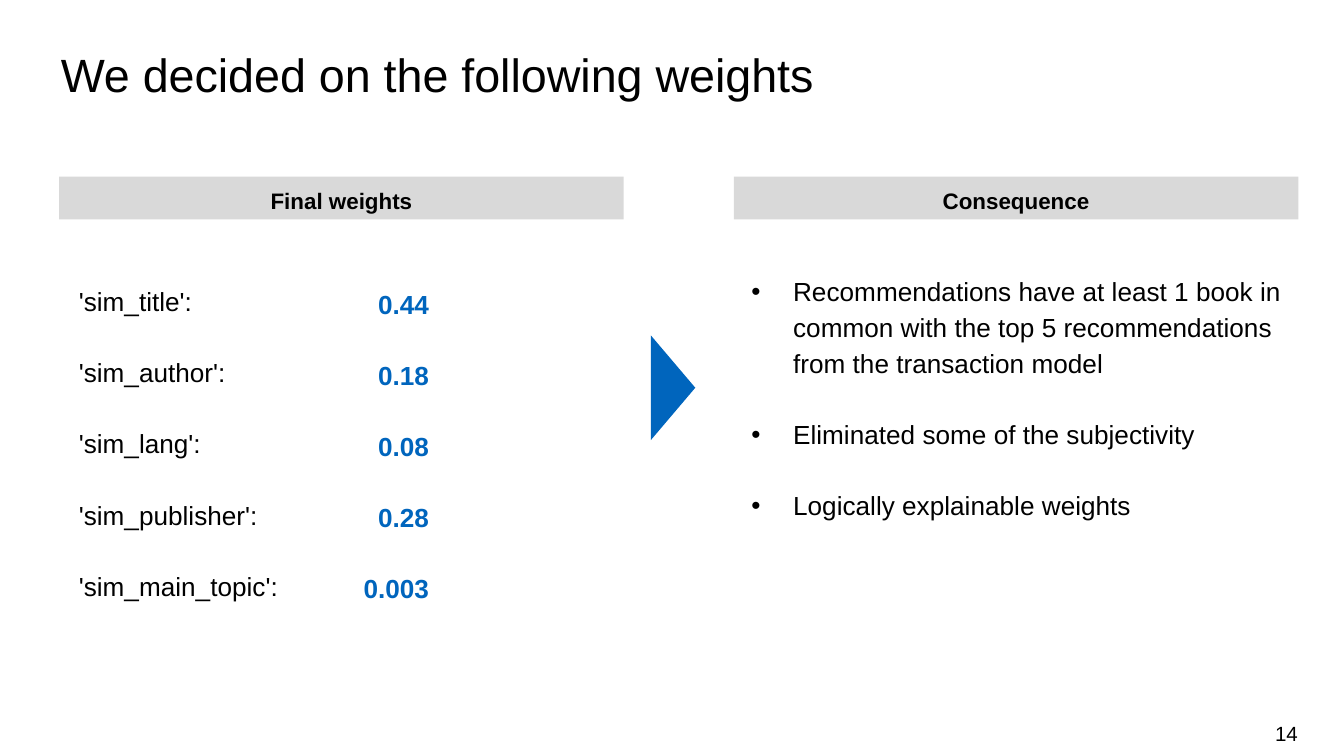
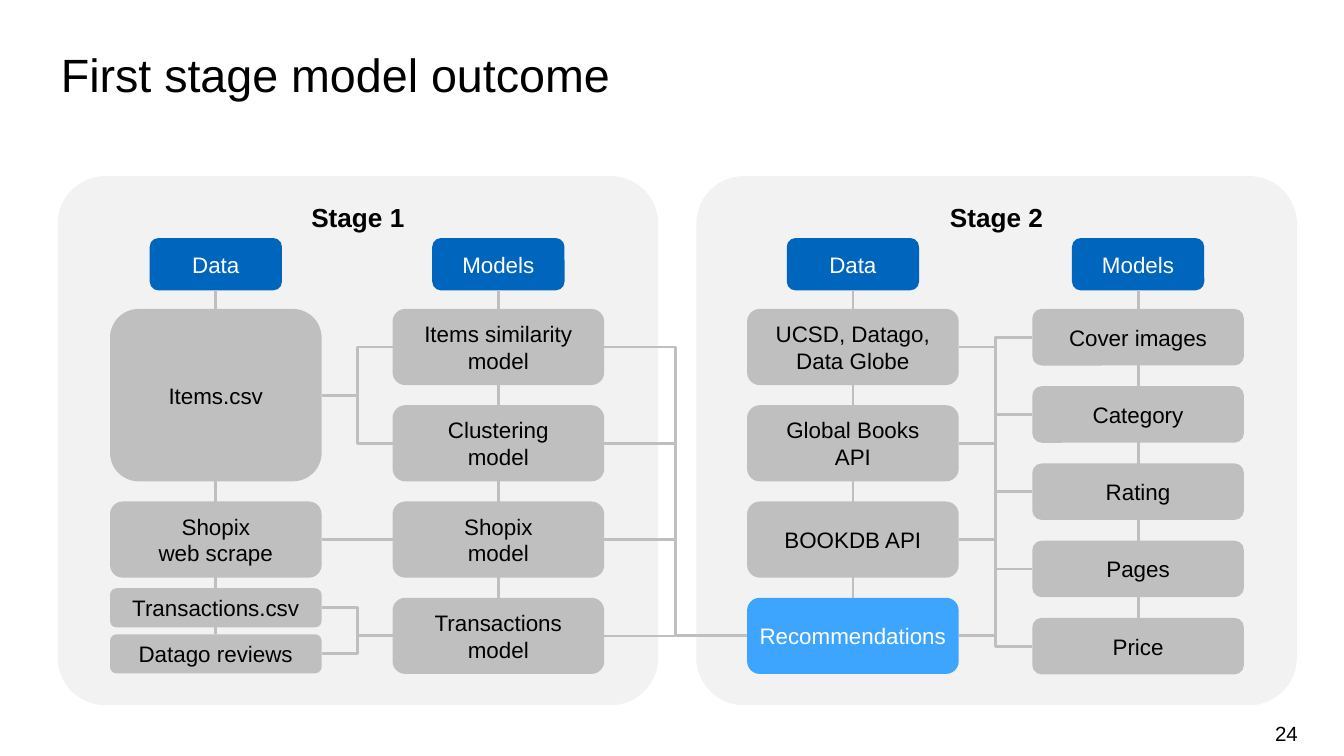
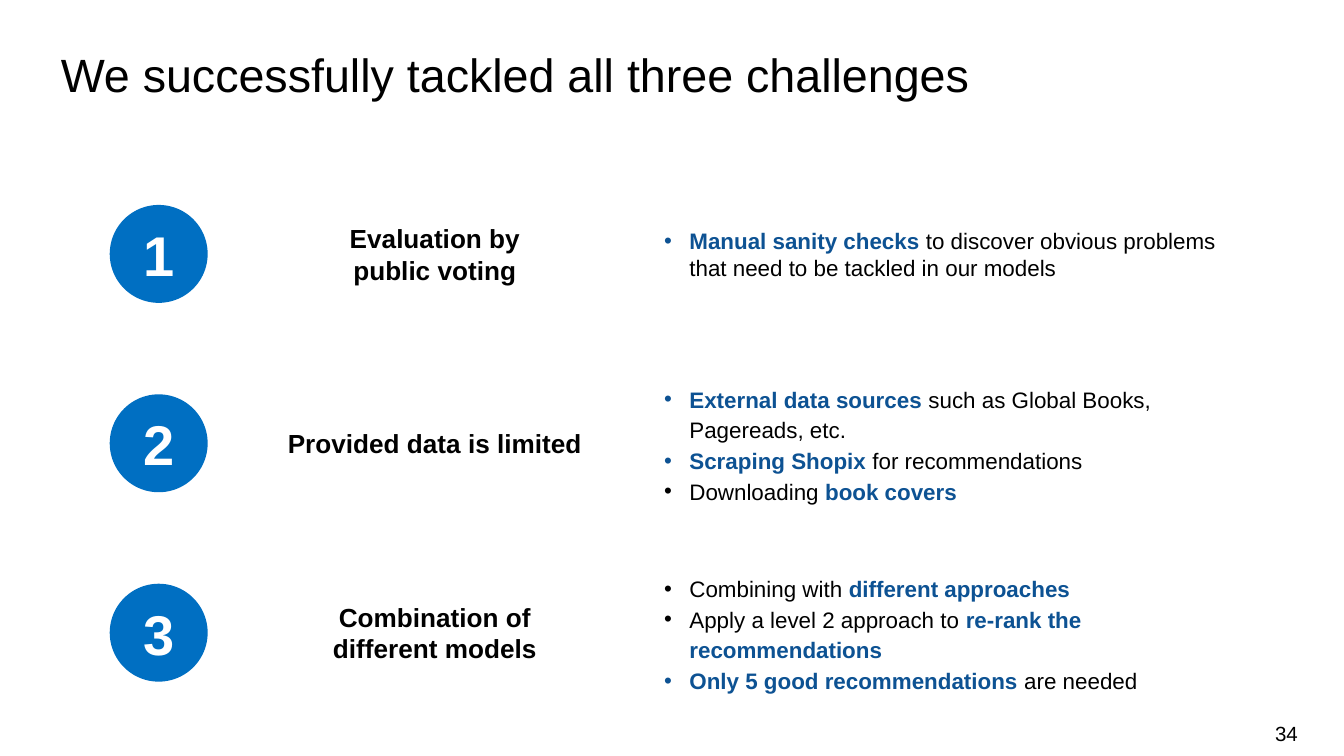
from dataclasses import dataclass
from typing import NamedTuple, Optional, Sequence

from lxml.etree import SubElement
from pptx import Presentation
from pptx.dml.color import RGBColor
from pptx.enum.shapes import MSO_CONNECTOR as Link, MSO_SHAPE as Preset
from pptx.enum.text import MSO_ANCHOR as Anchor, MSO_AUTO_SIZE as AutoSize, PP_ALIGN as Align
from pptx.oxml.ns import qn
from pptx.shapes.autoshape import Shape
from pptx.shapes.connector import Connector
from pptx.slide import Slide
from pptx.text.text import TextFrame
from pptx.util import Cm, Pt


@dataclass(frozen=True)
class Theme:
    font: str = "Arial"
    text: str = "000000"
    white: str = "FFFFFF"
    blue: str = "0065BD"
    light_blue: str = "3EA5FF"
    circle_blue: str = "006FC2"
    key_blue: str = "0D5293"
    band: str = "D9D9D9"
    panel: str = "F2F2F2"
    node: str = "BFBFBF"
    title_size: float = 25
    number_size: float = 30
    body_size: float = 14
    small_size: float = 12
    page_size: float = 11
    loose: float = 1.14


THEME = Theme()
TITLE_ONLY = 5
TOP, LEFT, BOTTOM, RIGHT = range(4)


class Box(NamedTuple):
    """Left, top, width and height in centimetres."""
    left: float
    top: float
    width: float
    height: float

    def lengths(self) -> list[Cm]:
        return [Cm(value) for value in self]


class Insets(NamedTuple):
    left: float = 0.25
    top: float = 0.13
    right: float = 0.25
    bottom: float = 0.13


NO_INSETS = Insets(0, 0, 0, 0)


class Run(NamedTuple):
    text: str
    key: bool = False


@dataclass(frozen=True)
class TextStyle:
    size: float = THEME.body_size
    color: str = THEME.text
    bold: bool = False
    align: Align = Align.LEFT
    spacing: float = 1.0
    gap: float = 0
    bullet_indent: float = 0


Paragraphs = Sequence[Sequence[Run]]


def plain(*lines: str) -> Paragraphs:
    """One paragraph of a single run for each line."""
    return [[Run(line)] for line in lines]


def write(frame: TextFrame, paragraphs: Paragraphs, style: TextStyle) -> None:
    for index, runs in enumerate(paragraphs):
        paragraph = frame.add_paragraph() if index else frame.paragraphs[0]
        if style.bullet_indent:
            properties = paragraph._p.get_or_add_pPr()
            indent = Cm(style.bullet_indent)
            properties.set("marL", str(indent))
            properties.set("indent", str(-indent))
            SubElement(properties, qn("a:buFont")).set("typeface", THEME.font)
            SubElement(properties, qn("a:buChar")).set("char", "•")
        paragraph.alignment = style.align
        paragraph.line_spacing = style.spacing
        if index and style.gap:
            paragraph.space_before = Pt(style.gap)
        for text, key in runs:
            run = paragraph.add_run()
            run.text = text
            run.font.name = THEME.font
            run.font.size = Pt(style.size)
            run.font.bold = style.bold or key
            run.font.color.rgb = RGBColor.from_string(THEME.key_blue if key else style.color)


def prepare_frame(frame: TextFrame, insets: Insets, anchor: Anchor, wrap: bool = True) -> None:
    frame.auto_size = AutoSize.NONE
    frame.word_wrap = wrap
    frame.vertical_anchor = anchor
    frame.margin_left, frame.margin_top, frame.margin_right, frame.margin_bottom = map(Cm, insets)


def add_text(slide: Slide, box: Box, paragraphs: Paragraphs, style: TextStyle,
             insets: Insets = Insets(), anchor: Anchor = Anchor.TOP) -> None:
    frame = slide.shapes.add_textbox(*box.lengths()).text_frame
    prepare_frame(frame, insets, anchor)
    write(frame, paragraphs, style)


def add_filled(slide: Slide, preset: Preset, box: Box, fill: str, paragraphs: Paragraphs = (),
               style: TextStyle = TextStyle(), insets: Insets = Insets(),
               anchor: Anchor = Anchor.TOP, wrap: bool = True) -> Shape:
    """Add a preset shape with a plain fill and no outline."""
    shape = slide.shapes.add_shape(preset, *box.lengths())
    shape.shadow.inherit = False
    shape.fill.solid()
    shape.fill.fore_color.rgb = RGBColor.from_string(fill)
    shape.line.fill.background()
    prepare_frame(shape.text_frame, insets, anchor, wrap)
    write(shape.text_frame, paragraphs, style)
    return shape


def add_titled_slide(presentation: Presentation, title: str, page: int) -> Slide:
    slide = presentation.slides.add_slide(presentation.slide_layouts[TITLE_ONLY])
    heading = slide.shapes.title
    heading.left, heading.top, heading.width, heading.height = Box(0.9, 0.86, 23.64, 1.15).lengths()
    prepare_frame(heading.text_frame, Insets(top=0), Anchor.TOP)
    write(heading.text_frame, plain(title), TextStyle(THEME.title_size))
    add_text(slide, Box(18.83, 13.48, 5.7, 0.76), plain(str(page)),
             TextStyle(THEME.page_size, align=Align.RIGHT),
             Insets(left=0, right=0), Anchor.MIDDLE)
    return slide


# Weights slide

def build_weights(presentation: Presentation) -> None:
    slide = add_titled_slide(presentation, "We decided on the following weights", 14)
    band_style = TextStyle(THEME.small_size, bold=True, align=Align.CENTER, spacing=THEME.loose)
    for left, heading in ((1.12, "Final weights"), (13.87, "Consequence")):
        add_filled(slide, Preset.RECTANGLE, Box(left, 3.34, 10.67, 0.81), THEME.band,
                   plain(heading), band_style)

    weights = {"title": "0.44", "author": "0.18", "lang": "0.08",
               "publisher": "0.28", "main_topic": "0.003"}
    one_line = 19
    add_text(slide, Box(1.24, 5.18, 4.45, 6.27), plain(*(f"'sim_{name}':" for name in weights)),
             TextStyle(spacing=THEME.loose, gap=one_line), Insets(right=0))
    add_text(slide, Box(5.41, 5.23, 2.95, 6.27), plain(*weights.values()),
             TextStyle(color=THEME.blue, bold=True, align=Align.RIGHT,
                       spacing=THEME.loose, gap=one_line))

    arrow = add_filled(slide, Preset.ISOSCELES_TRIANGLE, Box(11.73, 6.91, 1.98, 0.84), THEME.blue)
    arrow.rotation = 90
    add_text(slide, Box(14.2, 5.13, 10.34, 5),
             plain("Recommendations have at least 1 book in common with the top 5 "
                   "recommendations from the transaction model",
                   "Eliminated some of the subjectivity",
                   "Logically explainable weights"),
             TextStyle(spacing=THEME.loose, gap=one_line, bullet_indent=0.79), NO_INSETS)


# Stages slide

NODE_WIDTH = 4.0
NODE_HEIGHT = 1.44
NODE_TOP = 5.84
NODE_PITCH = 1.82


@dataclass(frozen=True)
class Node:
    key: str
    lines: tuple[str, ...]
    top: float
    height: float = NODE_HEIGHT
    fill: str = THEME.node
    color: str = THEME.text


@dataclass(frozen=True)
class Column:
    heading: str
    left: float
    nodes: tuple[Node, ...]


def row_top(row: int, pitch: float = NODE_PITCH) -> float:
    return NODE_TOP + row * pitch


COLUMNS = (
    Column("Data", 2.08, (
        Node("items", ("Items.csv",), NODE_TOP, NODE_PITCH + NODE_HEIGHT),
        Node("scrape", ("Shopix", "web scrape"), row_top(2)),
        Node("transactions", ("Transactions.csv",), 11.12, 0.74),
        Node("reviews", ("Datago reviews",), 11.99, 0.74),
    )),
    Column("Models", 7.42, (
        Node("similarity model", ("Items similarity", "model"), row_top(0)),
        Node("clustering model", ("Clustering", "model"), row_top(1)),
        Node("shop model", ("Shopix", "model"), row_top(2)),
        Node("transactions model", ("Transactions", "model"), row_top(3)),
    )),
    Column("Data", 14.12, (
        Node("open data", ("UCSD, Datago,", "Data Globe"), row_top(0)),
        Node("books", ("Global Books", "API"), row_top(1)),
        Node("isbn", ("BOOKDB API",), row_top(2)),
        Node("recommendations", ("Recommendations",), row_top(3),
             fill=THEME.light_blue, color=THEME.white),
    )),
    Column("Models", 19.51, tuple(
        Node(name, (name,), row_top(row, 1.46), 1.07)
        for row, name in enumerate(("Cover images", "Category", "Rating", "Pages", "Price")))),
)

ELBOWS = (
    ("items", "similarity model"), ("items", "clustering model"),
    ("transactions", "transactions model"), ("reviews", "transactions model"),
    ("similarity model", "recommendations"),
    ("recommendations", "Cover images"), ("books", "Rating"),
    ("open data", "Cover images"), ("open data", "Category"),
    ("isbn", "Pages"), ("recommendations", "Price"),
)
STRAIGHTS = (("scrape", "shop model"), ("transactions model", "recommendations"))


def add_node(slide: Slide, left: float, node: Node, width: float = NODE_WIDTH) -> Shape:
    return add_filled(slide, Preset.ROUNDED_RECTANGLE, Box(left, node.top, width, node.height),
                      node.fill, plain(*node.lines),
                      TextStyle(THEME.small_size, node.color, align=Align.CENTER),
                      Insets(0.1, 0.05, 0.1, 0.05), Anchor.MIDDLE, wrap=False)


def join(slide: Slide, start: Shape, start_side: int, end: Optional[Shape] = None,
         end_side: int = LEFT, kind: Link = Link.STRAIGHT, end_x: int = 0) -> Connector:
    """Join two shapes, or run level from the start shape's right side to end_x."""
    level = start.top + start.height // 2
    line = slide.shapes.add_connector(kind, start.left + start.width, level, end_x, level)
    line.begin_connect(start, start_side)
    if end is not None:
        line.end_connect(end, end_side)
    line.line.color.rgb = RGBColor.from_string(THEME.node)
    line.line.width = Pt(1.5)
    SubElement(line._element.spPr, qn("a:effectLst"))
    return line


def add_column(slide: Slide, column: Column) -> dict[str, Shape]:
    """Draw the column with its spine behind the nodes between its ends."""
    header_width = 2.5
    header = add_node(slide, column.left + (NODE_WIDTH - header_width) / 2,
                      Node("header", (column.heading,), 4.5, 0.99, THEME.blue, THEME.white),
                      header_width)
    *upper, last = column.nodes
    shapes = {last.key: add_node(slide, column.left, last)}
    join(slide, header, BOTTOM, shapes[last.key], TOP)
    for node in upper:
        shapes[node.key] = add_node(slide, column.left, node)
    return shapes


def build_stages(presentation: Presentation) -> None:
    slide = add_titled_slide(presentation, "First stage model outcome", 24)
    for left, heading in ((1.09, "Stage 1"), (13.16, "Stage 2")):
        panel = add_filled(slide, Preset.ROUNDED_RECTANGLE, Box(left, 3.33, 11.35, 10),
                           THEME.panel, plain(heading),
                           TextStyle(bold=True, align=Align.CENTER, spacing=THEME.loose))
        panel.adjustments[0] = 0.09

    nodes: dict[str, Shape] = {}
    for column in COLUMNS:
        nodes.update(add_column(slide, column))
    for kind, pairs in ((Link.ELBOW, ELBOWS), (Link.STRAIGHT, STRAIGHTS)):
        for start, end in pairs:
            join(slide, nodes[start], RIGHT, nodes[end], LEFT, kind)

    trunk_x = Cm((COLUMNS[1].left + NODE_WIDTH + COLUMNS[2].left) / 2)
    for key in ("clustering model", "shop model"):
        join(slide, nodes[key], RIGHT, end_x=trunk_x)


# Challenges slide

@dataclass(frozen=True)
class Challenge:
    heading: tuple[str, ...]
    answers: Paragraphs
    spacing: float = THEME.loose


CHALLENGES = (
    Challenge(("Evaluation by", "public voting"), (
        (Run("Manual sanity checks ", True),
         Run("to discover obvious problems that need to be tackled in our models")),
    ), spacing=1.0),
    Challenge(("Provided data is limited",), (
        (Run("External data sources ", True), Run("such as Global Books, Pagereads, etc.")),
        (Run("Scraping Shopix ", True), Run("for recommendations")),
        (Run("Downloading "), Run("book covers", True)),
    )),
    Challenge(("Combination of", "different models"), (
        (Run("Combining with "), Run("different approaches", True)),
        (Run("Apply a level 2 approach to "), Run("re-rank the recommendations", True)),
        (Run("Only 5 good recommendations ", True), Run("are needed")),
    )),
)


def build_challenges(presentation: Presentation) -> None:
    slide = add_titled_slide(presentation, "We successfully tackled all three challenges", 34)
    for index, challenge in enumerate(CHALLENGES):
        top = 3.91 + index * 3.58
        text_top = top + 0.18
        circle = add_filled(slide, Preset.OVAL, Box(2.11, top, 1.78, 1.78), THEME.circle_blue,
                            plain(str(index + 1)),
                            TextStyle(THEME.number_size, THEME.white, True, Align.CENTER),
                            anchor=Anchor.MIDDLE)
        circle.line.color.rgb = RGBColor.from_string(THEME.circle_blue)
        circle.line.width = Pt(2)
        add_text(slide, Box(5.22, text_top, 6, 1.42), plain(*challenge.heading),
                 TextStyle(bold=True, align=Align.CENTER), NO_INSETS, Anchor.MIDDLE)
        add_text(slide, Box(12.55, text_top, 10.97, 1.42), challenge.answers,
                 TextStyle(THEME.small_size, spacing=challenge.spacing, bullet_indent=0.48),
                 NO_INSETS, Anchor.MIDDLE)


def main() -> None:
    presentation = Presentation()
    presentation.slide_width, presentation.slide_height = Cm(25.4), Cm(14.29)
    build_weights(presentation)
    build_stages(presentation)
    build_challenges(presentation)
    presentation.save("out.pptx")


if __name__ == "__main__":
    main()
